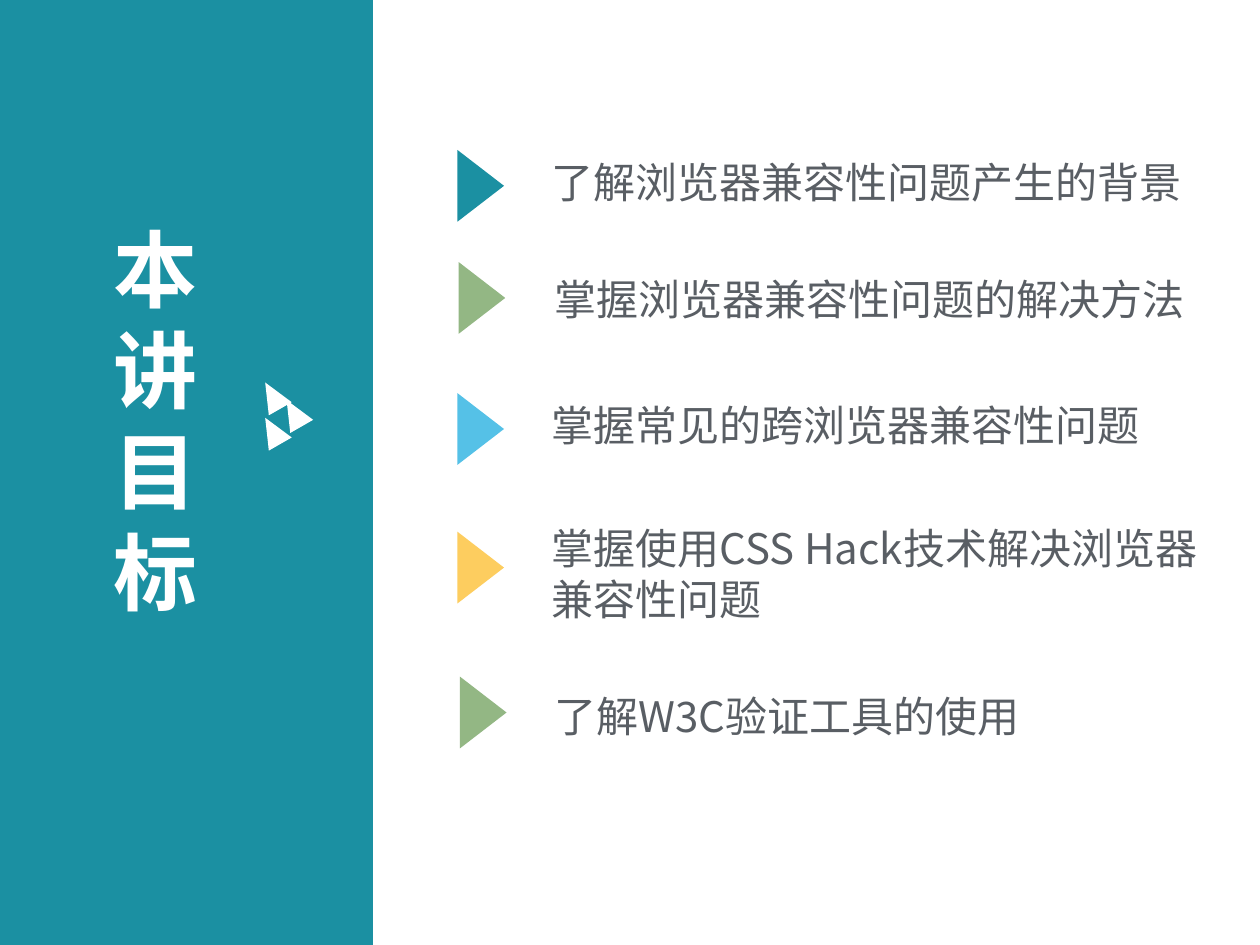
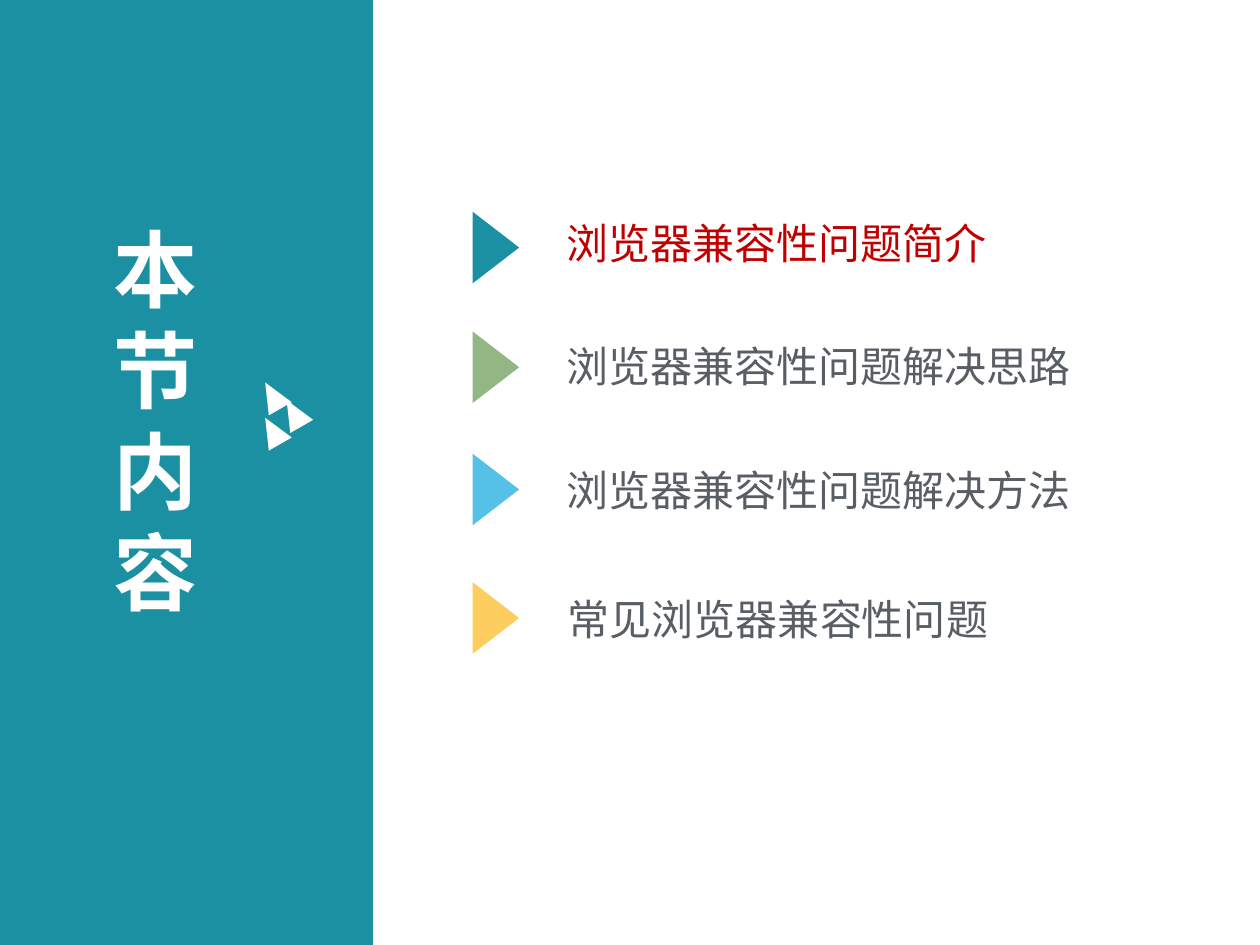
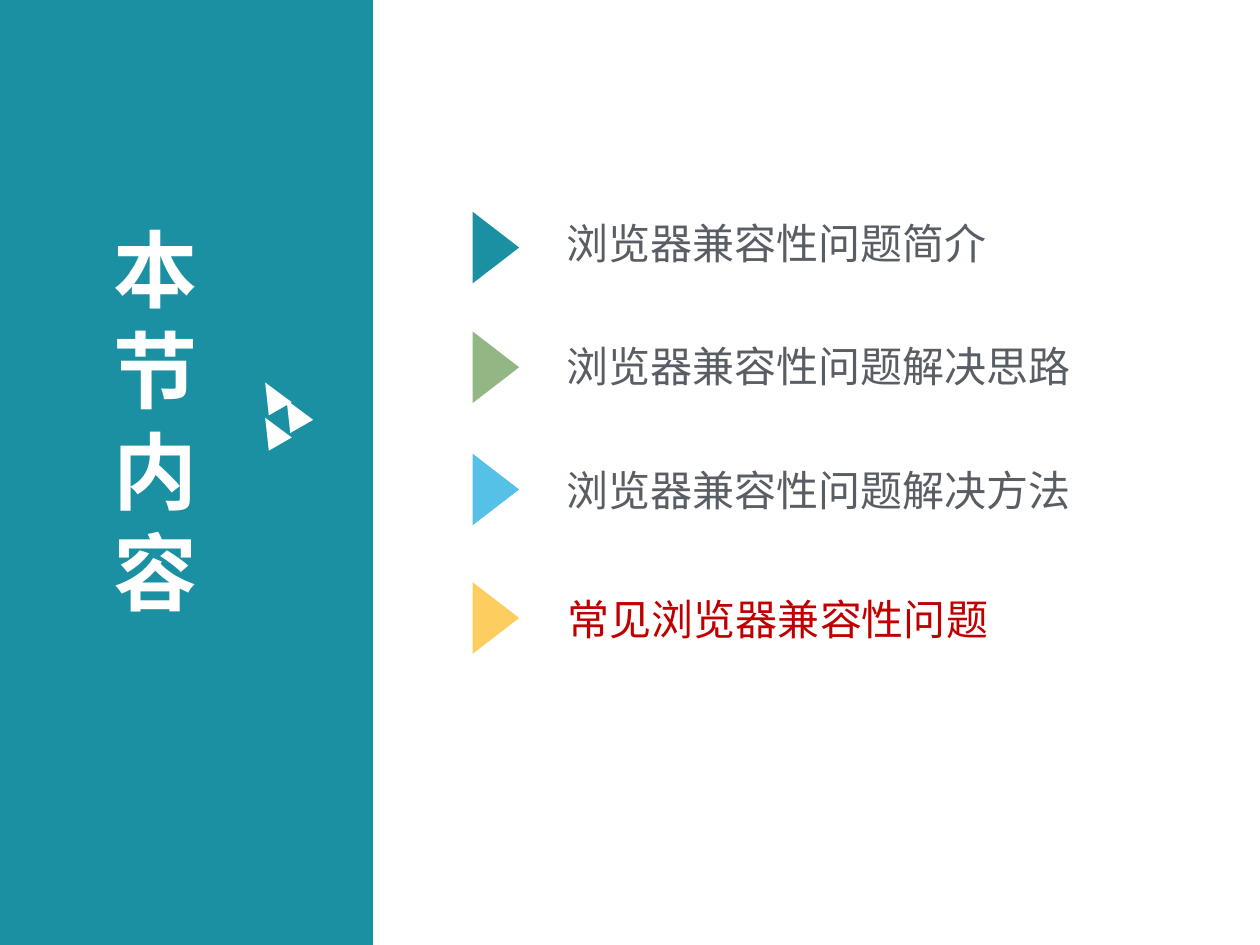
from pptx import Presentation
from pptx.dml.color import RGBColor
from pptx.enum.shapes import MSO_SHAPE
from pptx.util import Inches, Pt

TEAL = RGBColor(0x1B, 0x90, 0xA2)
GREEN = RGBColor(0x93, 0xB7, 0x84)
BLUE = RGBColor(0x55, 0xC1, 0xE7)
YELLOW = RGBColor(0xFD, 0xCD, 0x5F)
WHITE = RGBColor(0xFF, 0xFF, 0xFF)
GREY = RGBColor(0x59, 0x5E, 0x64)
RED = RGBColor(0xC0, 0x00, 0x00)

FONT = "Noto Sans CJK SC"
LINE_RATIO = 1.2
TITLE_FORMAT = {"name": FONT, "size": Pt(48), "bold": True}
ITEM_FORMAT = {"name": FONT, "size": Pt(24)}

# Each item: wording, text box (left, top, width, height), arrow (left, top), arrow colour
GOALS = [
    ("了解浏览器兼容性问题产生的背景", (4.28, 1.19, 5.25, 0.5), (3.53, 1.29), TEAL),
    ("掌握浏览器兼容性问题的解决方法", (4.3, 2.12, 5.24, 0.5), (3.54, 2.18), GREEN),
    ("掌握常见的跨浏览器兼容性问题", (4.28, 3.12, 5.15, 0.5), (3.53, 3.22), BLUE),
    ("掌握使用CSS Hack技术解决浏览器兼容性问题", (4.28, 4.1, 5.41, 0.91), (3.53, 4.32), YELLOW),
    ("了解W3C验证工具的使用", (4.3, 5.43, 4.94, 0.5), (3.55, 5.47), GREEN),
]
SECTIONS = [
    ("浏览器兼容性问题简介", (4.4, 1.68, 4.72, 0.5), (3.65, 1.78), TEAL),
    ("浏览器兼容性问题解决思路", (4.4, 2.65, 4.88, 0.5), (3.65, 2.73), GREEN),
    ("浏览器兼容性问题解决方法", (4.4, 3.64, 4.72, 0.5), (3.65, 3.7), BLUE),
    ("常见浏览器兼容性问题", (4.41, 4.66, 3.86, 0.5), (3.65, 4.72), YELLOW),
]
# Each slide: title, items, index of the highlighted item
SLIDES = [
    ("本讲目标", GOALS, None),
    ("本节内容", SECTIONS, 0),
    ("本节内容", SECTIONS, 3),
]

BAND = (0, 0, 2.96, 7.5)
TITLE_BOX = (0.8, 1.68, 1.31, 3.33)
MARK_SIZE = (0.21, 0.24)
MARK_PLACES = [(2.06, 3.02), (2.06, 3.3), (2.23, 3.16)]
MARK_ROTATION = 330.2
ARROW_SIZE = (0.57, 0.37)


def add_solid(shapes, kind, place, color, rotation=0):
    shape = shapes.add_shape(kind, *map(Inches, place))
    shape.shadow.inherit = False
    shape.fill.solid()
    shape.fill.fore_color.rgb = color
    shape.line.fill.background()
    shape.rotation = rotation


def add_text(page, text, place, font_format, color):
    box = page.shapes.add_textbox(*map(Inches, place))
    box.text_frame.word_wrap = True
    para = box.text_frame.paragraphs[0]
    para.line_spacing = Pt(font_format["size"].pt * LINE_RATIO)
    span = para.add_run()
    span.text = text
    for name, value in font_format.items():
        setattr(span.font, name, value)
    span.font.color.rgb = color
    # East Asian characters use the same typeface
    properties = span.font._element
    east_asian = properties.makeelement(
        properties.find("{*}latin").tag.replace("latin", "ea"), {"typeface": FONT})
    properties.append(east_asian)


def add_side_band(page, title):
    add_solid(page.shapes, MSO_SHAPE.RECTANGLE, BAND, TEAL)
    add_text(page, title, TITLE_BOX, TITLE_FORMAT, WHITE)
    mark = page.shapes.add_group_shape()
    for place in MARK_PLACES:
        add_solid(mark.shapes, MSO_SHAPE.ISOSCELES_TRIANGLE,
                  place + MARK_SIZE, WHITE, MARK_ROTATION)


def add_items(page, items, highlighted):
    for index, (text, text_place, arrow_place, arrow_color) in enumerate(items):
        add_solid(page.shapes, MSO_SHAPE.ISOSCELES_TRIANGLE,
                  arrow_place + ARROW_SIZE, arrow_color, 90)
        add_text(page, text, text_place, ITEM_FORMAT,
                 RED if index == highlighted else GREY)


def main():
    deck = Presentation()
    deck.slide_width, deck.slide_height = Inches(10), Inches(7.5)
    for title, items, highlighted in SLIDES:
        page = deck.slides.add_slide(deck.slide_layouts[6])
        add_side_band(page, title)
        add_items(page, items, highlighted)
    deck.save("out.pptx")


if __name__ == "__main__":
    main()
